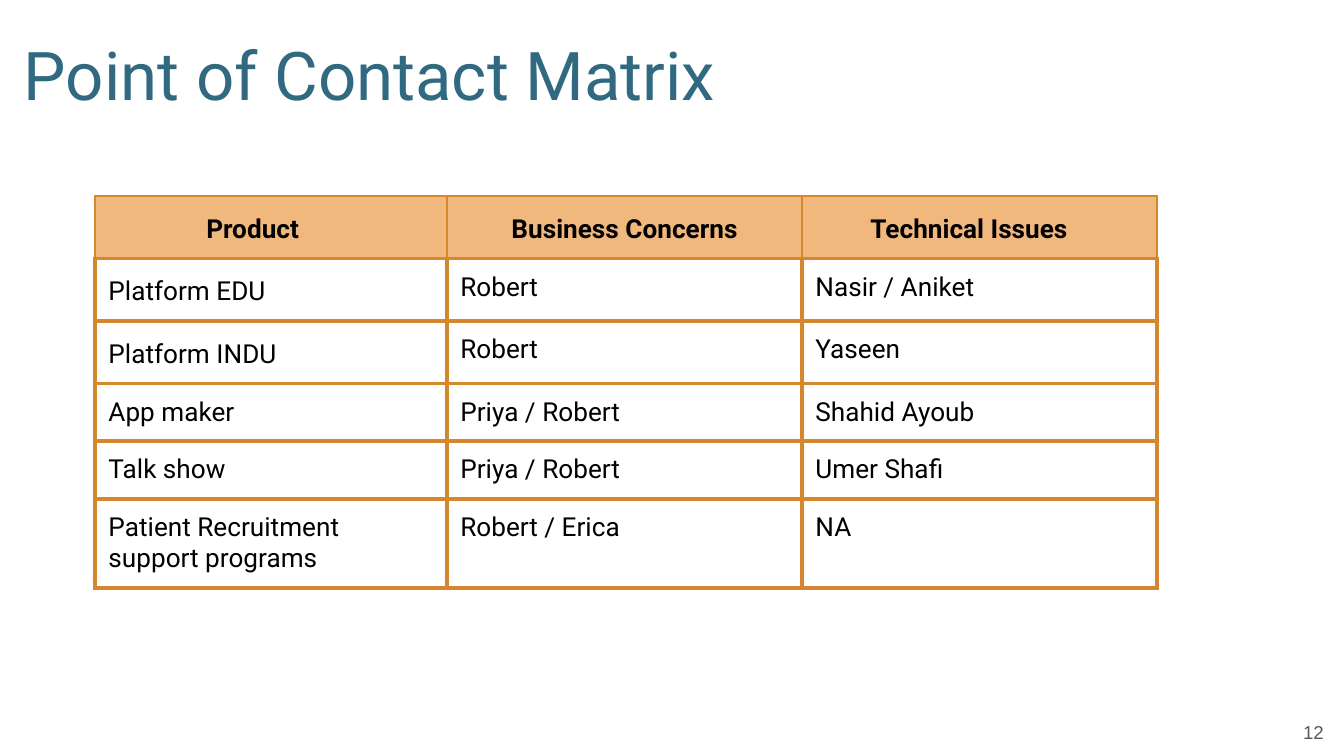
import pptx
import pptx.dml.color
import pptx.enum.text
import pptx.oxml
import pptx.oxml.ns
import pptx.util

Cm = pptx.util.Cm
Pt = pptx.util.Pt
ALIGN = pptx.enum.text.PP_ALIGN
ANCHOR = pptx.enum.text.MSO_ANCHOR

COLORS = {
    "title": "316981",
    "text": "000000",
    "number": "595959",
    "header": "F1B87E",
    "border": "D6862C",
}
INSET = Cm(0.25)
TABLE_LEFT, TABLE_TOP = Cm(1.8), Cm(3.71)
COLUMN_WIDTHS = [Cm(6.65), Cm(6.71), Cm(6.71)]
ROW_HEIGHTS = [Cm(h) for h in (1.18, 1.18, 1.18, 1.09, 1.09, 1.68)]
HEADER_RIGHT_INSETS = [Cm(0.95), INSET, Cm(0.65)]
SPACED_ROWS = 3  # the header and the first two products have looser lines

CONTACTS = [
    ("Product", "Business Concerns", "Technical Issues"),
    ("Platform EDU", "Robert", "Nasir / Aniket"),
    ("Platform INDU", "Robert", "Yaseen"),
    ("App maker", "Priya / Robert", "Shahid Ayoub"),
    ("Talk show", "Priya / Robert", "Umer Shafi"),
    ("Patient Recruitment\nsupport programs", "Robert / Erica", "NA"),
]


def rgb(name):
    return pptx.dml.color.RGBColor.from_string(COLORS[name])


def write(frame, text, size=14, font="Roboto", color="text", bold=False,
          align=ALIGN.LEFT, spacing=1.0):
    """Fill a text frame, one paragraph for each line of text."""
    frame.text = text
    for paragraph in frame.paragraphs:
        paragraph.alignment = align
        paragraph.line_spacing = spacing
        for run in paragraph.runs:
            run.font.name = font
            run.font.size = Pt(size)
            run.font.bold = bold
            run.font.color.rgb = rgb(color)


def set_insets(frame):
    frame.margin_left = frame.margin_right = INSET
    frame.margin_top = frame.margin_bottom = INSET
    frame.word_wrap = True
    frame.auto_size = pptx.enum.text.MSO_AUTO_SIZE.NONE


def add_title(slide, text):
    title = slide.shapes.title
    title.left, title.top = Cm(0.2), Cm(0.38)
    title.width, title.height = Cm(18.49), Cm(2)
    set_insets(title.text_frame)
    title.text_frame.vertical_anchor = ANCHOR.TOP
    write(title.text_frame, text, size=36, color="title")


def add_slide_number(slide, number):
    box = slide.shapes.add_textbox(Cm(23.75), Cm(13.59), Cm(1.52), Cm(0.48))
    set_insets(box.text_frame)
    box.text_frame.vertical_anchor = ANCHOR.MIDDLE
    write(box.text_frame, number, size=10, font="Arial", color="number",
          align=ALIGN.RIGHT)


def set_borders(cell, top, others):
    """Draw the four cell borders; widths are in points."""
    properties = cell._tc.get_or_add_tcPr()
    for side in "LRTB":
        width = Pt(top if side == "T" else others)
        properties.append(pptx.oxml.parse_xml(
            f'<a:ln{side} {pptx.oxml.ns.nsdecls("a")} w="{width}">'
            f'<a:solidFill><a:srgbClr val="{COLORS["border"]}"/></a:solidFill>'
            f'</a:ln{side}>'))


def format_cell(cell, text, row, column):
    header = row == 0
    cell.margin_left = cell.margin_top = cell.margin_bottom = INSET
    cell.margin_right = HEADER_RIGHT_INSETS[column] if header else INSET
    spaced = header or (column == 0 and row < SPACED_ROWS)
    write(cell.text_frame, text, bold=header,
          align=ALIGN.CENTER if header else ALIGN.LEFT,
          spacing=1.15 if spaced else 1.0)
    set_borders(cell, top=1.5 if row < 2 else 2.25,
                others=1.5 if header else 2.25)
    if header:
        cell.fill.solid()
        cell.fill.fore_color.rgb = rgb("header")
    else:
        cell.fill.background()


def add_contact_table(slide):
    matrix = slide.shapes.add_table(
        len(CONTACTS), len(COLUMN_WIDTHS), TABLE_LEFT, TABLE_TOP,
        sum(COLUMN_WIDTHS), sum(ROW_HEIGHTS)).table
    matrix.first_row = matrix.horz_banding = False
    for column, width in zip(matrix.columns, COLUMN_WIDTHS):
        column.width = width
    for row, height in zip(matrix.rows, ROW_HEIGHTS):
        row.height = height
    for r, contact in enumerate(CONTACTS):
        for c, text in enumerate(contact):
            format_cell(matrix.cell(r, c), text, r, c)


def main():
    deck = pptx.Presentation()
    deck.slide_width, deck.slide_height = Cm(25.4), Cm(14.29)
    slide = deck.slides.add_slide(deck.slide_layouts.get_by_name("Title Only"))
    add_slide_number(slide, "12")
    add_title(slide, "Point of Contact Matrix")
    add_contact_table(slide)
    deck.save("out.pptx")


if __name__ == "__main__":
    main()
